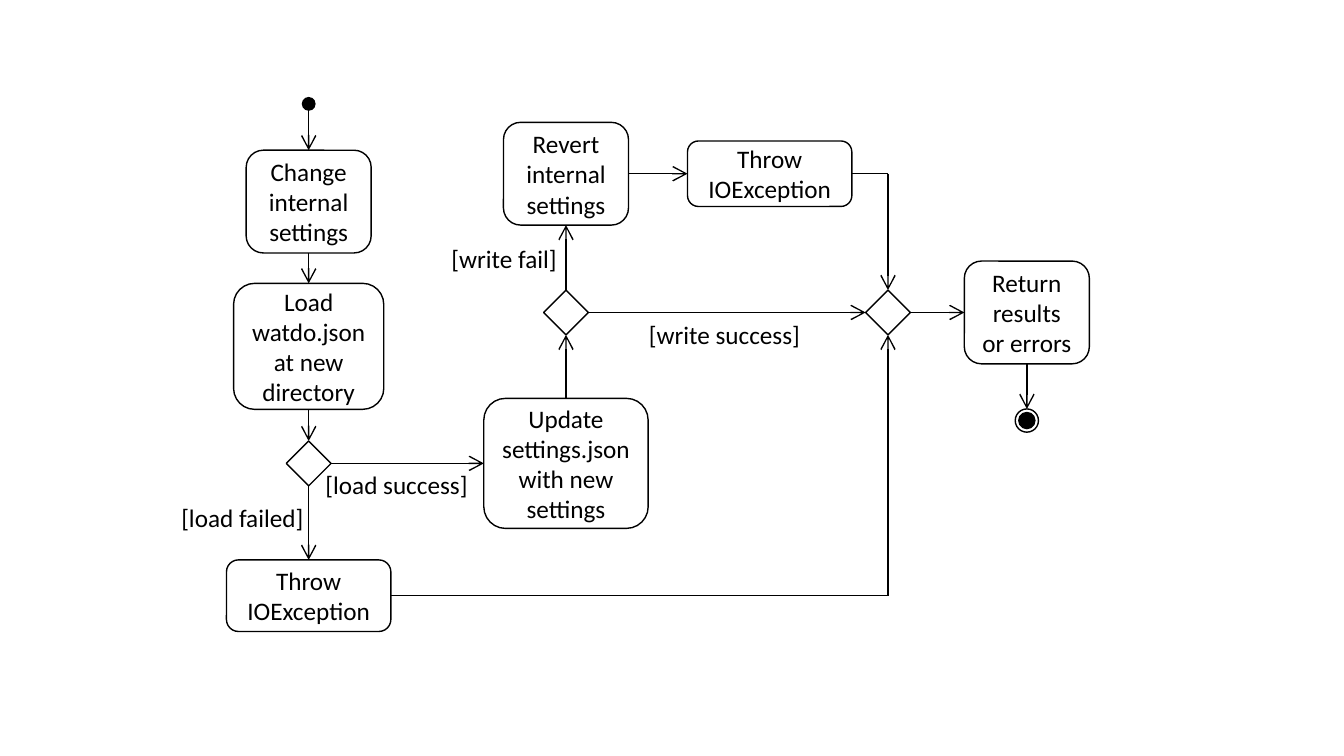
"""Build an activity diagram for changing a settings file location."""
from dataclasses import dataclass

from lxml import etree
from pptx import Presentation
from pptx.dml.color import RGBColor
from pptx.enum.shapes import MSO_CONNECTOR, MSO_SHAPE
from pptx.enum.text import MSO_ANCHOR, PP_ALIGN
from pptx.oxml.ns import qn
from pptx.util import Pt

ROUNDED = MSO_SHAPE.ROUNDED_RECTANGLE
DIAMOND = MSO_SHAPE.DIAMOND
OVAL = MSO_SHAPE.OVAL
STRAIGHT = MSO_CONNECTOR.STRAIGHT
MIDDLE = MSO_ANCHOR.MIDDLE
CENTER = PP_ALIGN.CENTER
TOP, LEFT, BOTTOM, RIGHT = range(4)
BLANK_LAYOUT = 6


@dataclass(frozen=True)
class Theme:
    """Colours, type and line weights of the diagram."""
    ink: RGBColor = RGBColor(0, 0, 0)
    paper: RGBColor = RGBColor(255, 255, 255)
    font: str = "Calibri"
    size: float = 18
    line: float = 1
    thin: float = 0.5


THEME = Theme()
MAIN_X, WRITE_X, MERGE_X, END_X = 220.5, 404.3, 634.3, 733.5
REVERT_Y, WRITE_Y, LOAD_Y, FAIL_Y = 124.1, 223.2, 331, 425.5
LABELS = [
    ("[load failed]", 122.4, 355, 107.3),
    ("[load success]", 225.4, 332, 119.5),
    ("[write fail]", 315.4, 170.6, 90),
    ("[write success]", 456.5, 224.6, 134.6),
]


def style_text(frame):
    """Apply the theme font to every run of a text frame."""
    for para in frame.paragraphs:
        for span in para.runs:
            span.font.name = THEME.font
            span.font.size = Pt(THEME.size)
            span.font.color.rgb = THEME.ink


def add_node(page, kind, x, y, width, height, fill=THEME.paper):
    """Add an outlined shape centred on a point."""
    node = page.shapes.add_shape(
        kind, Pt(x - width / 2), Pt(y - height / 2), Pt(width), Pt(height))
    node.shadow.inherit = False
    if fill is None:
        node.fill.background()
    else:
        node.fill.solid()
        node.fill.fore_color.rgb = fill
    node.line.color.rgb = THEME.ink
    node.line.width = Pt(THEME.line)
    return node


def add_action(page, text, x, y, width=89.3, height=73.4):
    """Add a rounded action box with centred text."""
    box = add_node(page, ROUNDED, x, y, width, height)
    frame = box.text_frame
    frame.text = text
    frame.word_wrap = True
    frame.vertical_anchor = MIDDLE
    frame.paragraphs[0].alignment = CENTER
    style_text(frame)
    return box


def add_decision(page, x, y):
    """Add a branch or merge diamond."""
    return add_node(page, DIAMOND, x, y, 32, 32)


def add_label(page, text, left, top, width):
    """Add a guard label."""
    box = page.shapes.add_textbox(Pt(left), Pt(top), Pt(width), Pt(29))
    box.text_frame.word_wrap = True
    box.text_frame.text = text
    style_text(box.text_frame)


def add_flow(page, start, end, weight=THEME.line, head=None, tail="arrow"):
    """Draw a line between ends given as (shape, side) or (x, y)."""
    flow = page.shapes.add_connector(STRAIGHT, 0, 0, 0, 0)
    for place, x_name, y_name, join in (
            (start, "begin_x", "begin_y", flow.begin_connect),
            (end, "end_x", "end_y", flow.end_connect)):
        if hasattr(place[0], "shape_id"):
            join(*place)
        else:
            setattr(flow, x_name, Pt(place[0]))
            setattr(flow, y_name, Pt(place[1]))
    flow.line.color.rgb = THEME.ink
    flow.line.width = Pt(weight)
    outline = flow.line._get_or_add_ln()
    for tag, mark in (("a:headEnd", head), ("a:tailEnd", tail)):
        if mark:
            etree.SubElement(outline, qn(tag), type=mark, w="lg", len="lg")
    etree.SubElement(flow._element.spPr, qn("a:effectLst"))


def main():
    """Build and save the diagram."""
    deck = Presentation()
    deck.slide_width, deck.slide_height = Pt(960), Pt(540)
    page = deck.slides.add_slide(deck.slide_layouts[BLANK_LAYOUT])

    change = add_action(page, "Change internal settings", MAIN_X, 144)
    load = add_action(page, "Load watdo.json at new directory",
                      MAIN_X, 247.4, 107.3, 90)
    loaded = add_decision(page, MAIN_X, LOAD_Y)
    load_error = add_action(page, "Throw IOException",
                            MAIN_X, FAIL_Y, 117.4, 51.1)
    update = add_action(page, "Update settings.json with new settings",
                        WRITE_X, LOAD_Y, 117.4, 92.9)
    written = add_decision(page, WRITE_X, WRITE_Y)
    revert = add_action(page, "Revert internal settings", WRITE_X, REVERT_Y)
    write_error = add_action(page, "Throw IOException",
                             549.8, REVERT_Y, 117.4, 46.8)
    merge = add_decision(page, MERGE_X, WRITE_Y)
    finish = add_action(page, "Return results or errors", END_X, WRITE_Y)
    final = add_node(page, OVAL, END_X, 300.4, 16.6, 16.6, None)
    add_node(page, OVAL, END_X, 300.4, 11.5, 11.5, THEME.ink)

    add_flow(page, (MAIN_X, 74.2), (change, TOP), head="oval")
    for source, side, target, target_side in (
            (change, BOTTOM, load, TOP),
            (load, BOTTOM, loaded, TOP),
            (loaded, BOTTOM, load_error, TOP),
            (loaded, RIGHT, update, LEFT),
            (update, TOP, written, BOTTOM),
            (written, TOP, revert, BOTTOM),
            (written, RIGHT, merge, LEFT),
            (revert, RIGHT, write_error, LEFT),
            (merge, RIGHT, finish, LEFT)):
        add_flow(page, (source, side), (target, target_side))
    add_flow(page, (finish, BOTTOM), (END_X, final.top.pt))
    for error, y, side in ((write_error, REVERT_Y, TOP),
                           (load_error, FAIL_Y, BOTTOM)):
        corner = (MERGE_X, y)
        add_flow(page, (error, RIGHT), corner, THEME.thin, tail=None)
        add_flow(page, corner, (merge, side))

    for label in LABELS:
        add_label(page, *label)
    deck.save("out.pptx")


if __name__ == "__main__":
    main()
